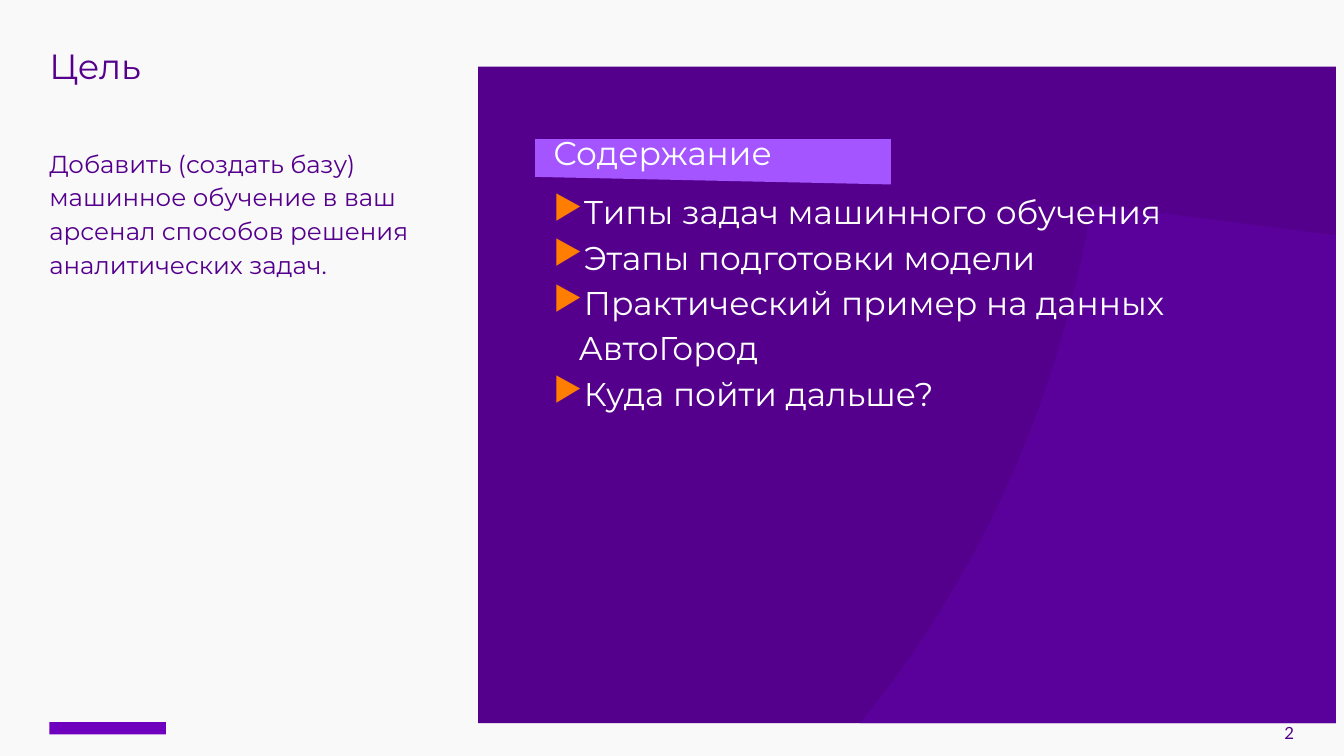
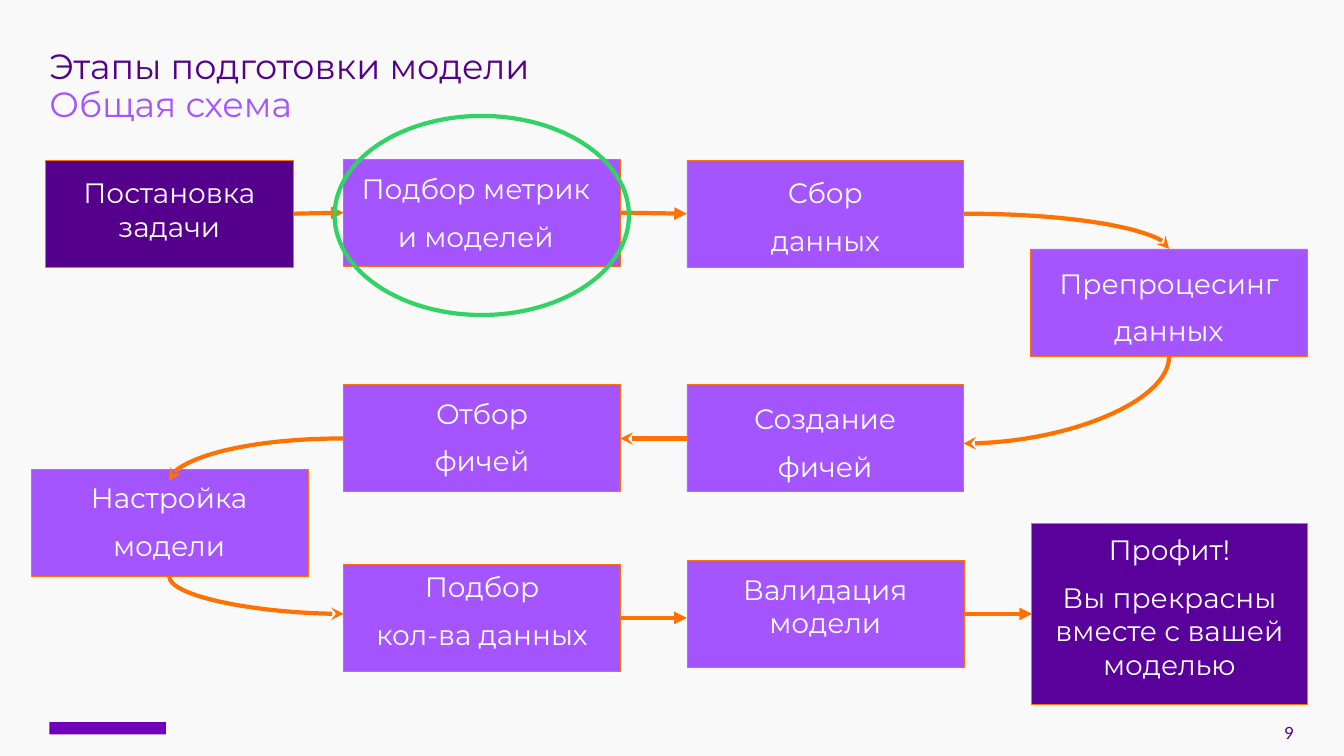
from lxml import etree
from pptx import Presentation
from pptx.dml.color import RGBColor
from pptx.enum.shapes import MSO_CONNECTOR as Link, MSO_SHAPE as Preset
from pptx.enum.text import MSO_ANCHOR as Anchor, MSO_AUTO_SIZE as AutoSize, PP_ALIGN as Align
from pptx.oxml.ns import qn
from pptx.util import Inches, Pt

color = RGBColor.from_string
PAPER, WHITE = "F9F9F9", "FFFFFF"
PURPLE, VIOLET, LILAC, LOGO = "55008C", "5A009B", "A555FF", "6E00BE"
ORANGE, BULLET, GREEN = "FF7200", "FF7D00", "32D264"

TITLE = {"size": 50, "line_spacing": 0.9}
BODY = {"size": 35, "line_spacing": 1.15}
CONTENTS = {"size": 47, "hex_color": WHITE, "line_spacing": 1.15}
STEP = {"size": 40, "hex_color": WHITE, "alignment": Align.CENTER, "gap": 20}
NUMBER = {"size": 24, "font": "Lato", "alignment": Align.RIGHT, "anchor": Anchor.BOTTOM}


def add_text(slide, at, lines, size, hex_color=PURPLE, font="Montserrat",
             alignment=Align.LEFT, line_spacing=1.0, gap=0, anchor=Anchor.TOP):
    frame = slide.shapes.add_textbox(*map(Inches, at)).text_frame
    frame_format = {"word_wrap": True, "auto_size": AutoSize.NONE, "vertical_anchor": anchor,
                    "margin_left": 0, "margin_right": 0, "margin_top": 0, "margin_bottom": 0}
    for name, value in frame_format.items():
        setattr(frame, name, value)
    for index, line in enumerate(lines):
        paragraph = frame.add_paragraph() if index else frame.paragraphs[0]
        paragraph_format = {"alignment": alignment, "line_spacing": line_spacing,
                            "space_before": Pt(gap if index else 0)}
        for name, value in paragraph_format.items():
            setattr(paragraph, name, value)
        run = paragraph.add_run()
        for name, value in {"text": line}.items():
            setattr(run, name, value)
        for name, value in {"name": font, "size": Pt(size)}.items():
            setattr(run.font, name, value)
        run.font.color.rgb = color(hex_color)
    return frame.paragraphs


def paint(shape, fill=None, line=None, width=0.75):
    shape.shadow.inherit = False
    if fill:
        shape.fill.solid()
        shape.fill.fore_color.rgb = color(fill)
    else:
        shape.fill.background()
    if line:
        shape.line.color.rgb = color(line)
        shape.line.width = Pt(width)
    else:
        shape.line.fill.background()


presentation = Presentation()
presentation.slide_width, presentation.slide_height = Inches(26.67), Inches(15)

slides = []
for number, title_width in (("2", 7.35), ("9", 12.74)):
    slide = presentation.slides.add_slide(presentation.slide_layouts[6])
    slide.background.fill.solid()
    slide.background.fill.fore_color.rgb = color(PAPER)
    logo_place = slide.shapes.add_shape(Preset.RECTANGLE, *map(Inches, (0.98, 14.33, 2.31, 0.24)))
    paint(logo_place, LOGO)
    add_text(slide, (19.68, 13.94, 6, 0.8), [number], **NUMBER)
    slides.append(slide)
goal_slide, stages_slide = slides

panel = goal_slide.shapes.add_shape(Preset.RECTANGLE, *map(Inches, (9.49, 1.32, 17.02, 13.03)))
paint(panel, PURPLE)

curves = [((17.07, 14.35), (18.22, 12.94), (19.18, 11.39), (19.94, 9.74)),
          ((19.94, 9.74), (20.77, 7.93), (21.35, 6.02), (21.66, 4.05))]
arc = []
for a, b, c, d in curves:
    for step in range(1, 17):
        t = step / 16
        arc.append([(1 - t) ** 3 * a[i] + 3 * t * (1 - t) ** 2 * b[i]
                    + 3 * t ** 2 * (1 - t) * c[i] + t ** 3 * d[i] for i in (0, 1)])
sector = [(17.07, 14.35), *arc, (26.51, 4.67), (26.51, 14.35)]
ribbon = [(17.68, 3.66), (10.62, 3.51), (10.62, 2.76), (17.68, 2.76)]
for outline, fill in ((sector, VIOLET), (ribbon, LILAC)):
    points = [(Inches(x), Inches(y)) for x, y in outline]
    builder = goal_slide.shapes.build_freeform(*points[0])
    builder.add_line_segments(points[1:], close=True)
    paint(builder.convert_to_shape(), fill)

add_text(goal_slide, (0.98, 0.98, 7.35, 1.88), ["Цель"], **TITLE)
add_text(goal_slide, (0.98, 2.86, 7.35, 9.13),
         ["Добавить (создать базу) машинное обучение в ваш арсенал "
          "способов решения аналитических задач."], **BODY)
contents = add_text(goal_slide, (10.98, 2.51, 14.28, 6.97),
                    ["Содержание", "Типы задач машинного обучения", "Этапы подготовки модели",
                     "Практический пример на данных АвтоГород", "Куда пойти дальше?"], **CONTENTS)
contents[1].space_before = Pt(20)
for paragraph in contents[1:]:
    properties = paragraph._p.get_or_add_pPr()
    properties.set("marL", str(Inches(0.5)))
    properties.set("indent", str(Inches(-0.5)))
    bullet_color = etree.SubElement(properties, qn("a:buClr"))
    etree.SubElement(bullet_color, qn("a:srgbClr"), val=BULLET)
    etree.SubElement(properties, qn("a:buChar"), char="▶")

title = add_text(stages_slide, (0.98, 0.98, 12.74, 2.12),
                 ["Этапы подготовки модели", "Общая схема"], **TITLE)
title[1].runs[0].font.color.rgb = color(LILAC)

W, H = 5.49, 2.12
stages = [
    ((0.9, 3.18, 4.92, H), PURPLE, (1.22, 3.49, 4.28, 1.45), ["Постановка задачи"]),
    ((6.82, 3.16, W, H), LILAC, (6.15, 3.41, 6.58, 1.45), ["Подбор метрик", "и моделей"]),
    ((13.63, 3.18, W, H), LILAC, (14.24, 3.49, 4.28, 1.45), ["Сбор", "данных"]),
    ((20.45, 4.94, W, H), LILAC, (20.45, 5.28, W, 1.45), ["Препроцесинг", "данных"]),
    ((13.63, 7.63, W, H), LILAC, (13.63, 7.97, W, 1.45), ["Создание", "фичей"]),
    ((6.82, 7.63, W, H), LILAC, (6.82, 7.86, W, 1.45), ["Отбор", "фичей"]),
    ((0.62, 9.31, W, H), LILAC, (0.61, 9.54, W, 1.45), ["Настройка", "модели"]),
    ((6.82, 11.2, W, H), LILAC, (6.82, 11.31, W, 1.73), ["Подбор", "кол-ва данных"]),
    ((13.64, 11.12, W, H), LILAC, (13.63, 11.35, W, 1.45), ["Валидация модели"]),
    ((20.46, 10.38, W, 3.59), VIOLET, (20.46, 10.57, W, 3.15),
     ["Профит!", "Вы прекрасны вместе с вашей моделью"]),
]
for box_at, fill, text_at, lines in stages:
    box = stages_slide.shapes.add_shape(Preset.RECTANGLE, *map(Inches, box_at))
    paint(box, fill, ORANGE)
    add_text(stages_slide, text_at, lines, **STEP)

arrows = [
    ("straight", (5.82, 4.24), (6.82, 4.22), "tailEnd", "triangle"),
    ("straight", (12.31, 4.22), (13.63, 4.24), "tailEnd", "triangle"),
    ("across", (19.12, 4.24), (23.2, 4.94), "tailEnd", "stealth"),
    ("down", (23.2, 7.07), (19.12, 8.8), "tailEnd", "stealth"),
    ("straight", (12.31, 8.7), (13.63, 8.7), "headEnd", "stealth"),
    ("across", (6.82, 8.7), (3.36, 9.54), "tailEnd", "stealth"),
    ("down", (3.36, 11.44), (6.82, 12.18), "tailEnd", "stealth"),
    ("straight", (12.31, 12.26), (13.63, 12.26), "tailEnd", "triangle"),
    ("straight", (19.15, 12.18), (20.48, 12.18), "tailEnd", "triangle"),
]
for route, (x1, y1), (x2, y2), end, head in arrows:
    turn = 0
    if route == "down":
        turn = 90 if x2 < x1 else 270
        side = 1 if x2 < x1 else -1
        middle_x, middle_y = (x1 + x2) / 2, (y1 + y2) / 2
        half_width, half_height = side * (y2 - y1) / 2, abs(x2 - x1) / 2
        x1, x2 = middle_x - half_width, middle_x + half_width
        y1, y2 = middle_y - half_height, middle_y + half_height
    kind = Link.STRAIGHT if route == "straight" else Link.CURVE
    arrow = stages_slide.shapes.add_connector(kind, *map(Inches, (x1, y1, x2, y2)))
    arrow.line.color.rgb = color(ORANGE)
    arrow.line.width = Pt(6)
    properties = arrow._element.spPr
    if route != "straight":
        properties.find(qn("a:prstGeom")).set("prst", "curvedConnector2")
    if turn:
        properties.find(qn("a:xfrm")).set("rot", str(turn * 60000))
    etree.SubElement(properties.find(qn("a:ln")), qn("a:" + end), type=head)
    etree.SubElement(properties, qn("a:effectLst"))

highlight = stages_slide.shapes.add_shape(Preset.OVAL, *map(Inches, (6.64, 2.3, 5.84, 3.95)))
paint(highlight, line=GREEN, width=6)

presentation.save("out.pptx")
